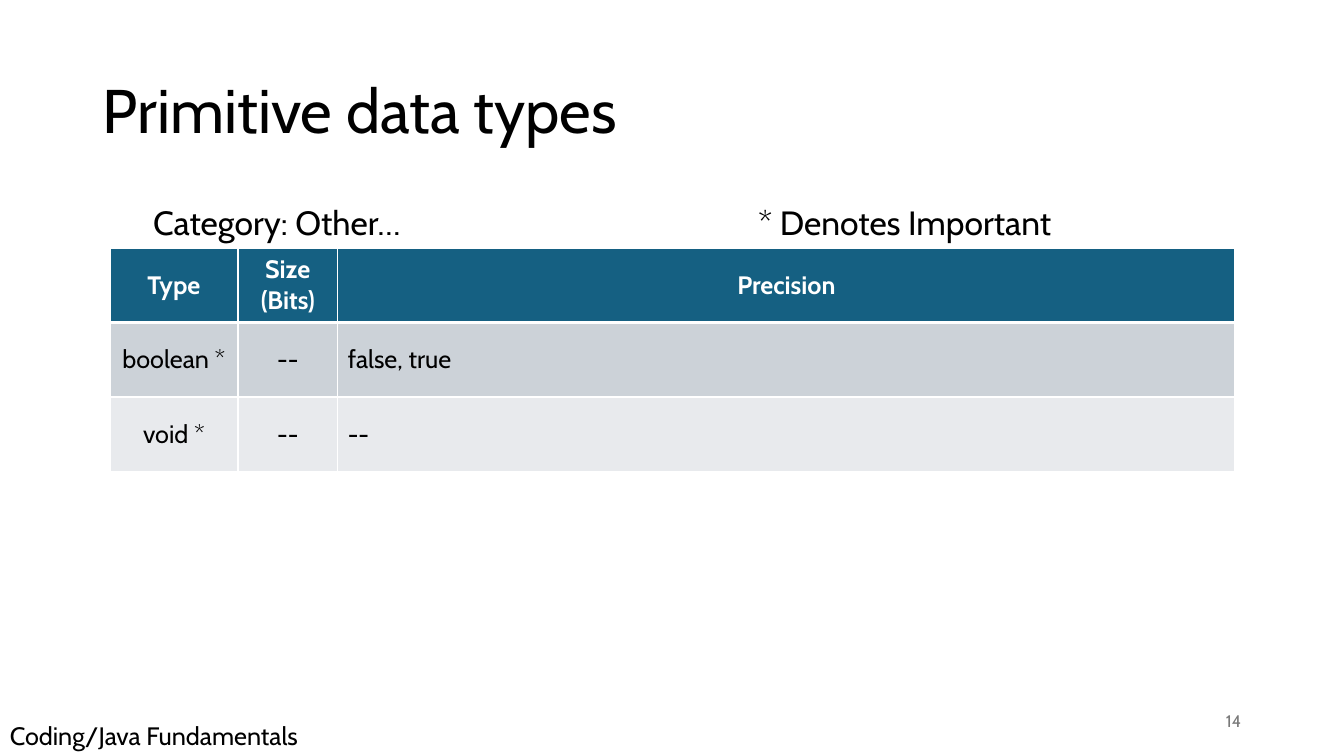
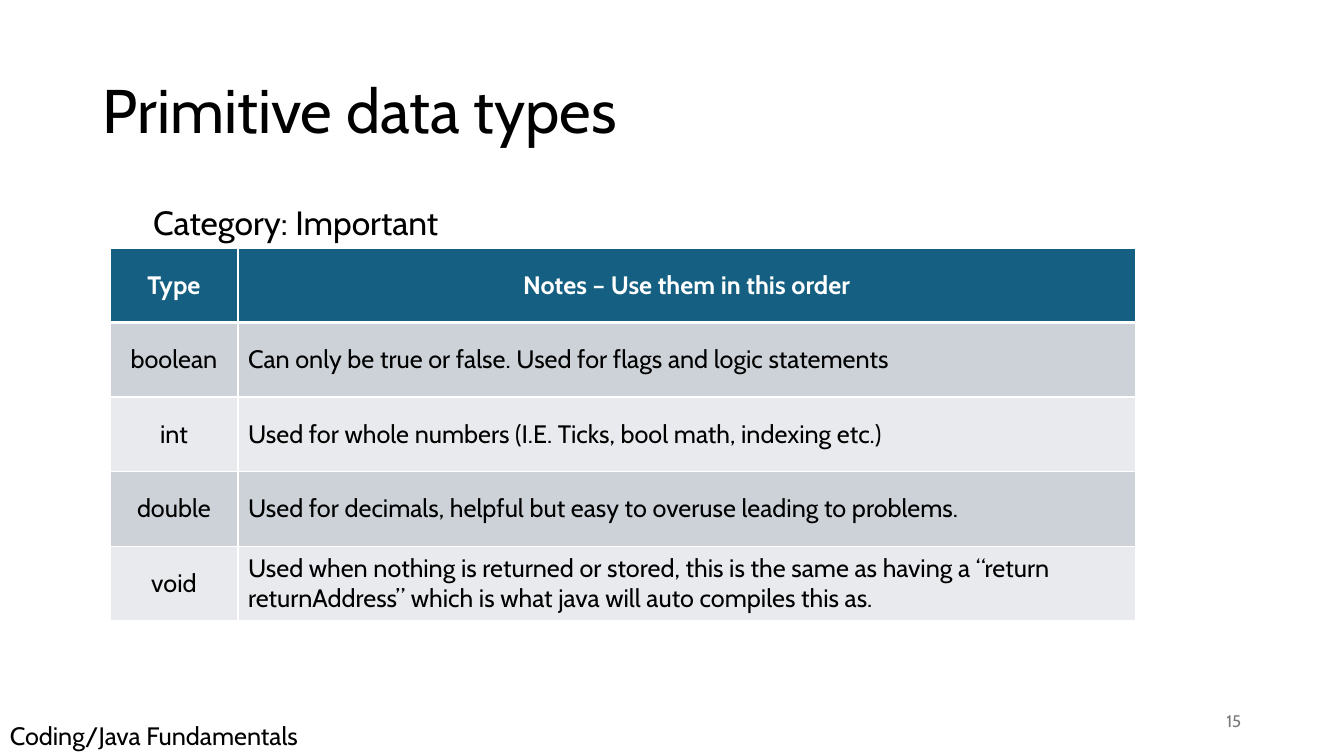
"""Build two slides that list primitive data types in Java."""
from pptx import Presentation
from pptx.dml.color import RGBColor
from pptx.enum.shapes import MSO_SHAPE as Shape
from pptx.enum.text import MSO_ANCHOR as Anchor, PP_ALIGN as Align
from pptx.oxml import parse_xml
from pptx.oxml.ns import nsdecls
from pptx.util import Inches, Pt

FONT = "Cabin"
BLACK = RGBColor(0x00, 0x00, 0x00)
WHITE = RGBColor(0xFF, 0xFF, 0xFF)
GRAY = RGBColor(0x79, 0x79, 0x79)
HEADER_BLUE = RGBColor(0x15, 0x60, 0x82)
BANDS = [RGBColor(0xCC, 0xD2, 0xD8), RGBColor(0xE8, 0xEA, 0xED)]

TITLE = "Primitive data types"
FOOTER = "Coding/Java Fundamentals"
TYPE_WIDTH, SIZE_WIDTH, DETAIL_WIDTH = 1.27, 0.99, 8.9
ROW_HEIGHT = 0.74
TABLE_LEFT, TABLE_TOP = 1.09, 2.46
THIN, THICK = 1, 3

SLIDES = [
    {
        "number": "14",
        "category": "Category: Other…",
        "legend": "* Denotes Important",
        "widths": [TYPE_WIDTH, SIZE_WIDTH, DETAIL_WIDTH],
        "rows": [
            ("Type", "Size (Bits)", "Precision"),
            ("boolean *", "--", "false, true"),
            ("void *", "--", "--"),
        ],
    },
    {
        "number": "15",
        "category": "Category: Important",
        "legend": None,
        "widths": [TYPE_WIDTH, DETAIL_WIDTH],
        "rows": [
            ("Type", "Notes – Use them in this order"),
            ("boolean", "Can only be true or false. Used for flags and logic statements"),
            ("int", "Used for whole numbers (I.E. Ticks, bool math, indexing etc.)"),
            ("double", "Used for decimals, helpful but easy to overuse leading to problems."),
            ("void", "Used when nothing is returned or stored, this is the same as having a "
                     "“return returnAddress” which is what java will auto compiles this as."),
        ],
    },
]


def style_paragraph(paragraph, size, color, align=Align.LEFT, bold=False):
    paragraph.alignment = align
    font = paragraph.font
    font.name, font.size, font.bold = FONT, Pt(size), bold
    font.color.rgb = color


def add_text(slide, text, box, size, color=BLACK, align=Align.LEFT,
             anchor=Anchor.TOP, spacing=None):
    shape = slide.shapes.add_textbox(*map(Inches, box))
    frame = shape.text_frame
    frame.word_wrap = True
    frame.vertical_anchor = anchor
    paragraph = frame.paragraphs[0]
    paragraph.text = text
    paragraph.line_spacing = spacing
    style_paragraph(paragraph, size, color, align)


def add_white_panel(slide):
    panel = slide.shapes.add_shape(Shape.RECTANGLE, *map(Inches, (7.32, 1.35, 2.1, 0.71)))
    panel.shadow.inherit = False
    panel.fill.solid()
    panel.fill.fore_color.rgb = WHITE
    panel.line.color.rgb = WHITE
    panel.line.width = Pt(1.5)


def add_borders(cell, top, bottom):
    properties = cell._tc.get_or_add_tcPr()
    for side, points in (("L", THIN), ("R", THIN), ("T", top), ("B", bottom)):
        properties.append(parse_xml(
            f'<a:ln{side} {nsdecls("a")} w="{Pt(points)}"><a:solidFill>'
            f'<a:srgbClr val="{WHITE}"/></a:solidFill></a:ln{side}>'))


def add_type_table(slide, widths, rows):
    table = slide.shapes.add_table(
        len(rows), len(widths), Inches(TABLE_LEFT), Inches(TABLE_TOP),
        Inches(sum(widths)), Inches(ROW_HEIGHT * len(rows))).table
    for column, width in zip(table.columns, widths):
        column.width = Inches(width)
    for row_index, texts in enumerate(rows):
        table.rows[row_index].height = Inches(ROW_HEIGHT)
        header = row_index == 0
        for column_index, text in enumerate(texts):
            cell = table.cell(row_index, column_index)
            add_borders(cell, THICK if row_index == 1 else THIN, THICK if header else THIN)
            cell.fill.solid()
            cell.fill.fore_color.rgb = HEADER_BLUE if header else BANDS[(row_index - 1) % 2]
            cell.vertical_anchor = Anchor.MIDDLE
            cell.text = text
            detail = not header and column_index == len(widths) - 1
            style_paragraph(cell.text_frame.paragraphs[0], 18, WHITE if header else BLACK,
                            Align.LEFT if detail else Align.CENTER, header)


def add_frame(slide, number):
    add_text(slide, TITLE, (0.92, 0.4, 11.5, 1.45), 44, anchor=Anchor.MIDDLE, spacing=0.9)
    add_text(slide, number, (9.41, 6.95, 3, 0.4), 12, GRAY, Align.RIGHT, Anchor.MIDDLE)
    add_text(slide, FOOTER, (0, 7.1, 3.14, 0.4), 18)
    add_white_panel(slide)


def main():
    presentation = Presentation()
    presentation.slide_width, presentation.slide_height = Inches(13.33), Inches(7.5)
    for content in SLIDES:
        slide = presentation.slides.add_slide(presentation.slide_layouts[6])
        add_frame(slide, content["number"])
        add_text(slide, content["category"], (1.42, 2, 5, 0.47), 24, spacing=0.9)
        if content["legend"]:
            add_text(slide, content["legend"], (7.42, 2, 5, 0.47), 24, spacing=0.9)
        add_type_table(slide, content["widths"], content["rows"])
    presentation.save("out.pptx")


if __name__ == "__main__":
    main()
